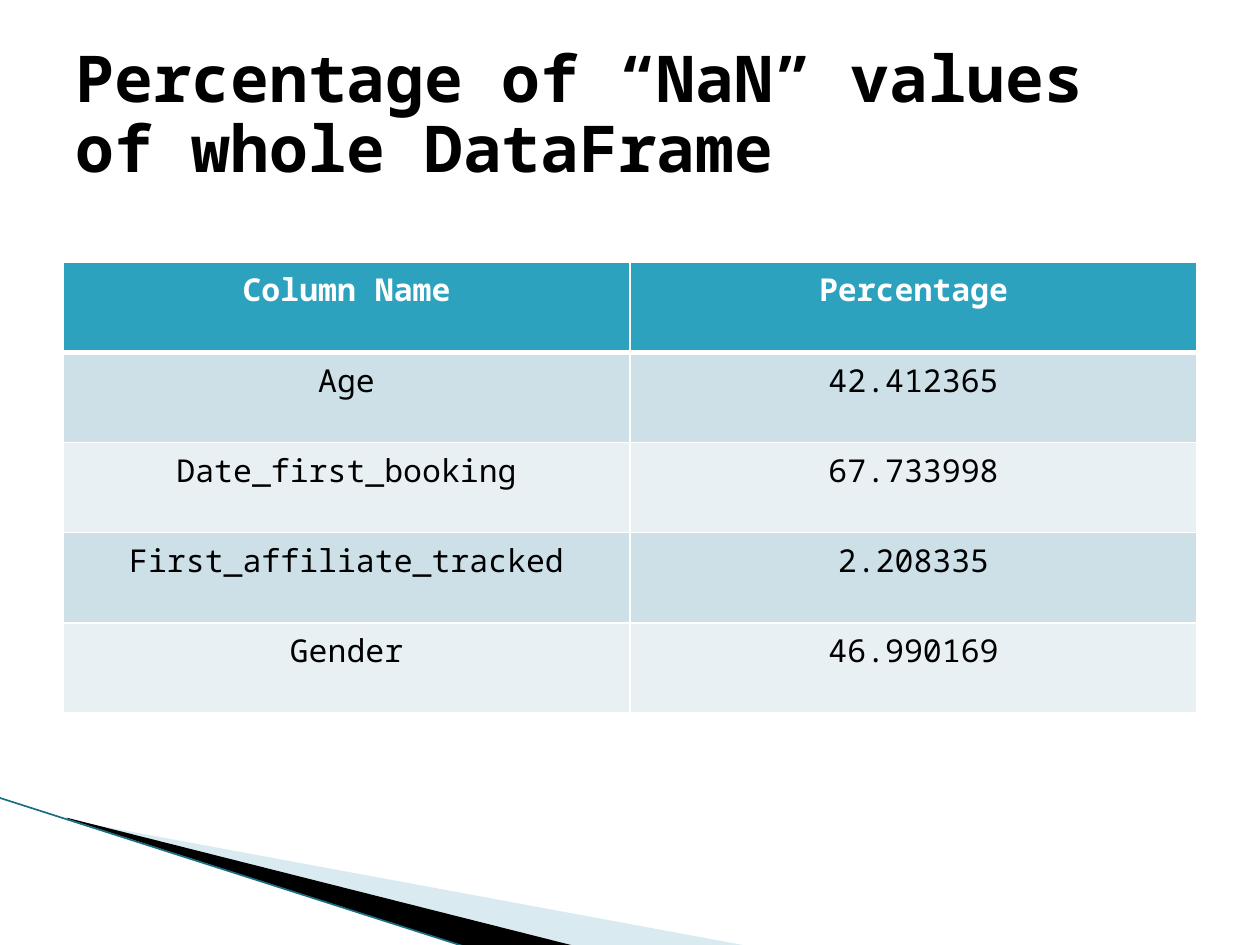
from dataclasses import dataclass

import pptx
import pptx.dml.color
import pptx.enum.text
import pptx.oxml
import pptx.oxml.ns
import pptx.util
from lxml import etree

Inches = pptx.util.Inches
Pt = pptx.util.Pt
FONT = "Noto Sans Mono"
CENTER = pptx.enum.text.PP_ALIGN.CENTER


@dataclass
class Wedge:
    points: list[tuple[float, float]]
    color: str
    alpha: int = 100


WEDGES = [
    Wedge([(0.55, 6.51), (5.95, 7.51), (4.56, 7.51), (0.55, 6.5)], "A0CBDC", 40),
    Wedge([(0.53, 6.49), (4.57, 7.51), (3.72, 7.52), (0.54, 6.5)], "000000"),
]
ROWS = [
    ("Column Name", "Percentage"),
    ("Age", "42.412365"),
    ("Date_first_booking", "67.733998"),
    ("First_affiliate_tracked", "2.208335"),
    ("Gender", "46.990169"),
]


def rgb(code: str) -> pptx.dml.color.RGBColor:
    return pptx.dml.color.RGBColor.from_string(code)


def style(para, size: float, color: str, bold: bool) -> None:
    for run in para.runs:
        font = run.font
        font.name, font.size, font.bold = FONT, Pt(size), bold
        font.color.rgb = rgb(color)


def draw_wedge(slide, wedge: Wedge) -> None:
    start, *rest = [(Inches(x), Inches(y)) for x, y in wedge.points]
    pen = slide.shapes.build_freeform(*start)
    pen.add_line_segments(rest, close=True)
    shape = pen.convert_to_shape()
    shape.shadow.inherit = False
    shape.line.fill.background()
    shape.fill.solid()
    shape.fill.fore_color.rgb = rgb(wedge.color)
    if wedge.alpha < 100:
        tone = shape._element.spPr.find(".//" + pptx.oxml.ns.qn("a:srgbClr"))
        node = etree.SubElement(tone, pptx.oxml.ns.qn("a:alpha"))
        node.set("val", str(wedge.alpha * 1000))


def set_edges(cell, top: float, bottom: float) -> None:
    props = cell._tc.get_or_add_tcPr()
    widths = {"lnL": 1, "lnR": 1, "lnT": top, "lnB": bottom}
    for spot, (tag, width) in enumerate(widths.items()):
        props.insert(spot, pptx.oxml.parse_xml(
            f'<a:{tag} {pptx.oxml.ns.nsdecls("a")} w="{Pt(width)}">'
            f'<a:solidFill><a:srgbClr val="FFFFFF"/></a:solidFill></a:{tag}>'))


def draw_table(slide) -> None:
    frame = slide.shapes.add_table(len(ROWS), 2, Inches(0.5), Inches(2.08),
                                   Inches(9), Inches(3.58))
    table = frame.table
    for r, row in enumerate(ROWS):
        head = r == 0
        fill = "2DA2BF" if head else ("CDE0E8" if r % 2 else "E8F0F4")
        for c, text in enumerate(row):
            cell = table.cell(r, c)
            cell.fill.solid()
            cell.fill.fore_color.rgb = rgb(fill)
            cell.text_frame.text = text
            para = cell.text_frame.paragraphs[0]
            para.alignment = CENTER
            style(para, 18, "FFFFFF" if head else "000000", head)
            set_edges(cell, 3 if r == 1 else 1, 3 if head else 1)


def draw_title(slide) -> None:
    title = slide.shapes.title
    title.left, title.top = Inches(0.5), Inches(0.3)
    title.width, title.height = Inches(9), Inches(1.25)
    frame = title.text_frame
    frame.text = "Percentage of “NaN” values of whole DataFrame"
    frame.word_wrap = True
    frame.auto_size = pptx.enum.text.MSO_AUTO_SIZE.NONE
    frame.vertical_anchor = pptx.enum.text.MSO_ANCHOR.MIDDLE
    para = frame.paragraphs[0]
    para.alignment = pptx.enum.text.PP_ALIGN.LEFT
    para.line_spacing = 0.9
    style(para, 36.9, "000000", True)


def draw_edge(slide) -> None:
    edge = slide.shapes.add_connector(1, Inches(-0.01), Inches(6.33),
                                      Inches(3.71), Inches(7.52))
    edge.line.color.rgb = rgb("1A6E82")
    edge.line.width = Pt(0.95)
    etree.SubElement(edge._element.spPr, pptx.oxml.ns.qn("a:effectLst"))


def main() -> None:
    deck = pptx.Presentation()
    deck.slide_width, deck.slide_height = Inches(10), Inches(7.5)
    slide = deck.slides.add_slide(deck.slide_layouts[5])
    # Corner decoration
    for wedge in WEDGES:
        draw_wedge(slide, wedge)
    draw_edge(slide)
    # Content
    draw_table(slide)
    draw_title(slide)
    deck.save("out.pptx")


if __name__ == "__main__":
    main()
